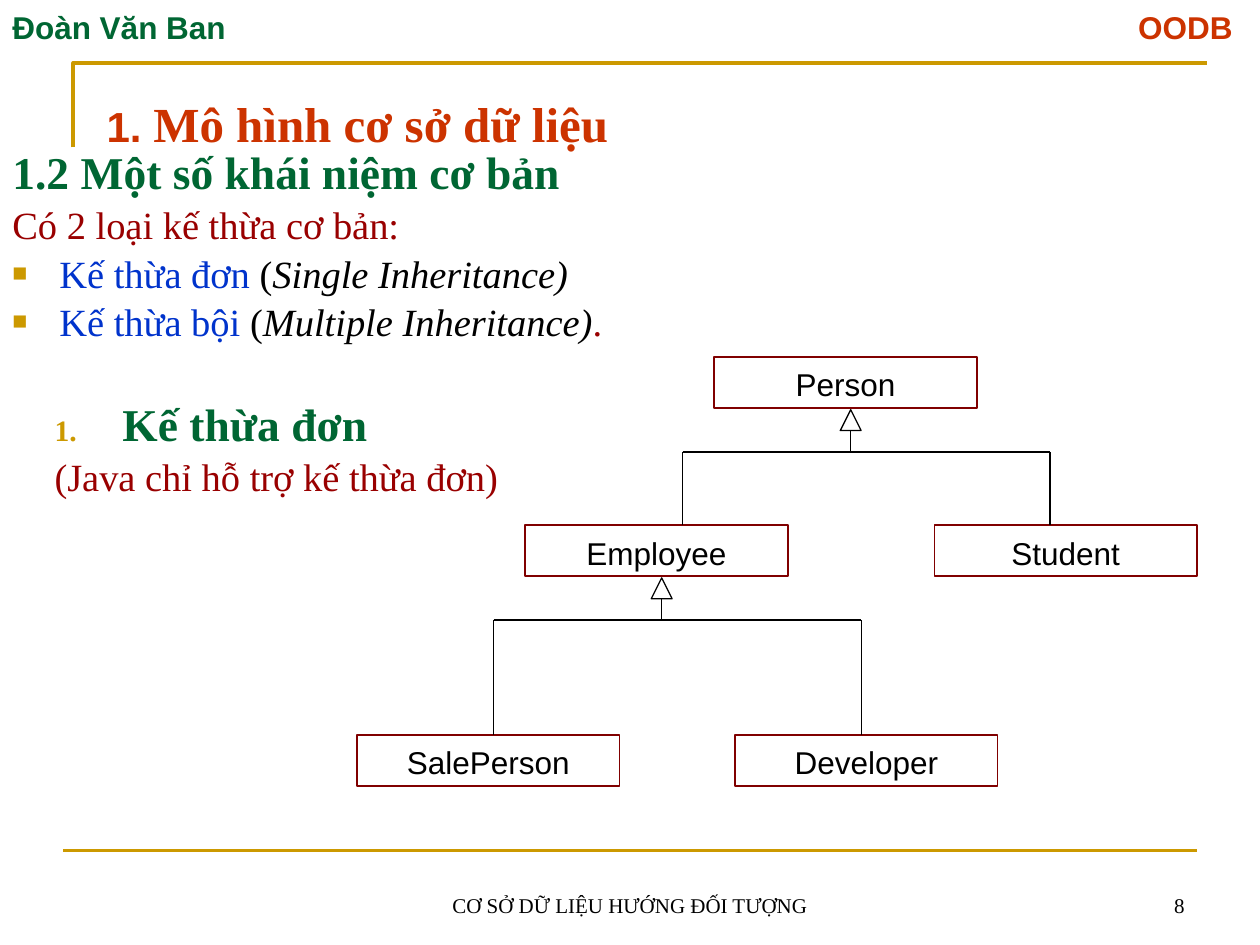
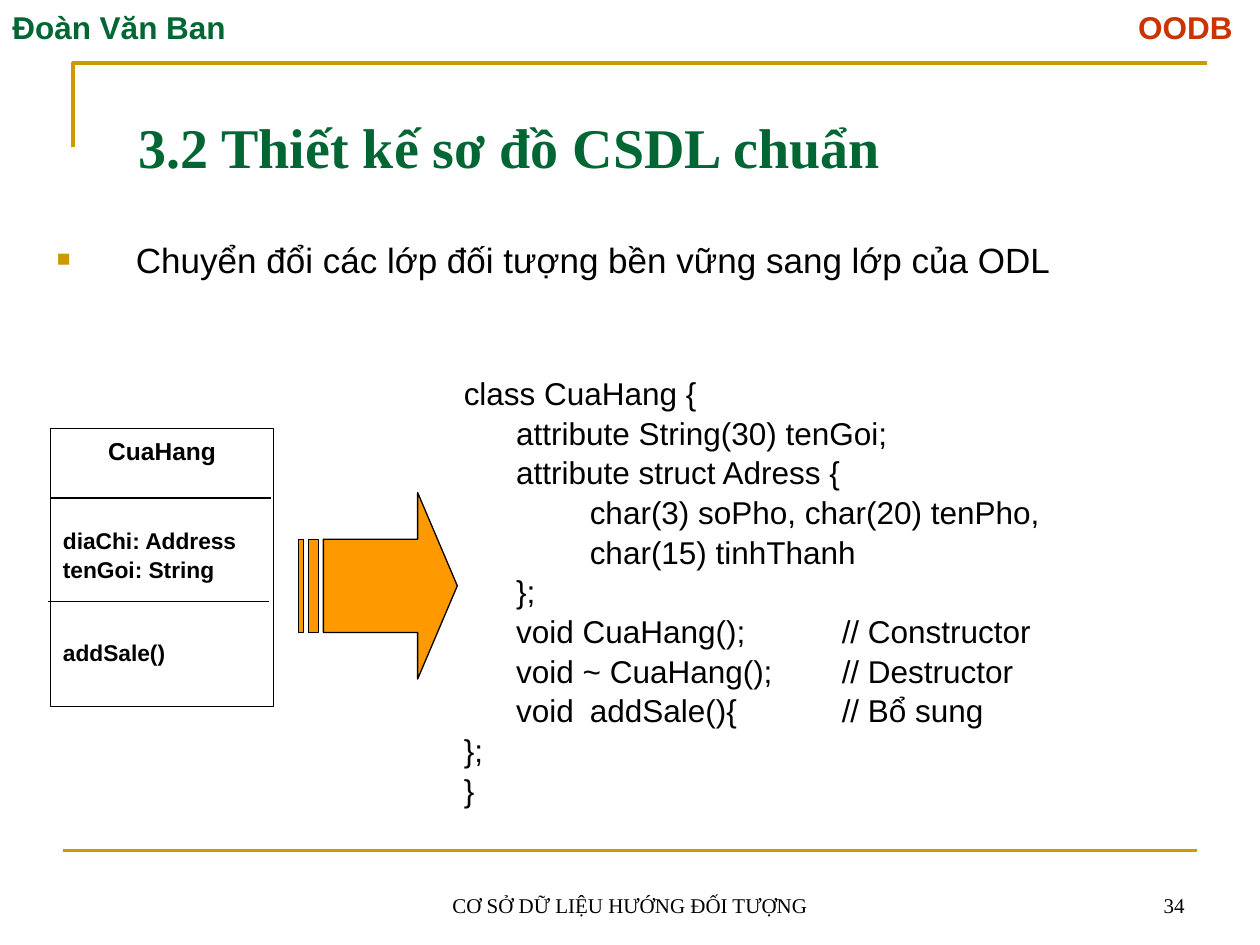
from dataclasses import dataclass

from lxml.etree import SubElement
from pptx import Presentation
from pptx.dml.color import RGBColor
from pptx.enum.shapes import MSO_CONNECTOR as CONN, MSO_SHAPE as SHAPE
from pptx.enum.text import MSO_ANCHOR as ANCHOR, MSO_AUTO_SIZE as AUTO, PP_ALIGN as ALIGN
from pptx.oxml.ns import qn
from pptx.util import Cm, Pt


@dataclass(frozen=True)
class Theme:
    sans: str = "Arial"
    serif: str = "Times New Roman"
    gold: str = "CC9900"
    green: str = "006633"
    red: str = "CC3300"
    maroon: str = "990000"
    border: str = "800000"
    blue: str = "0033CC"
    orange: str = "FF9900"
    black: str = "000000"
    white: str = "FFFFFF"
    title: int = 32
    section: int = 28
    number: int = 24
    heading: int = 26
    body: int = 22
    bullet: int = 20
    label: int = 18
    class_name: int = 14
    member: int = 13
    footer: int = 12
    leading: float = 1.05
    tight: float = 0.84


T = Theme()


def rgb(color):
    return RGBColor.from_string(color)


def add_bullet(pPr, bullet):
    clr = SubElement(pPr, qn("a:buClr"))
    SubElement(clr, qn("a:srgbClr"), val=T.gold)
    SubElement(pPr, qn("a:buSzPct"), val="65000")
    if bullet == "1.":
        SubElement(pPr, qn("a:buAutoNum"), type="arabicPeriod")
    else:
        SubElement(pPr, qn("a:buFont"), typeface=T.sans)
        SubElement(pPr, qn("a:buChar"), char=bullet)


def add_text(tf, text, size=T.label, font=T.sans, color=T.black, bold=False, italic=False,
             align=ALIGN.LEFT, before=0, spacing=T.leading, indent=0, bullet=None, tabs=()):
    first = tf.paragraphs[0]
    p = tf.add_paragraph() if first.runs else first
    pPr = p._p.get_or_add_pPr()
    if bullet:
        pPr.set("marL", str(Cm(indent)))
        pPr.set("indent", str(-Cm(indent)))
        add_bullet(pPr, bullet)
    if tabs:
        stops = SubElement(pPr, qn("a:tabLst"))
        for pos, kind in tabs:
            SubElement(stops, qn("a:tab"), pos=str(Cm(pos)), algn=kind)
    p.alignment, p.line_spacing, p.space_before = align, spacing, Pt(before)
    base = dict(size=size, font=font, color=color, bold=bold, italic=italic)
    for words, changes in [(text, {})] if isinstance(text, str) else text:
        look = {**base, **changes}
        r = p.add_run()
        r.text = words
        r.font.size, r.font.name = Pt(look["size"]), look["font"]
        r.font.bold, r.font.italic = look["bold"], look["italic"]
        r.font.color.rgb = rgb(look["color"])


def set_frame(sp, anchor=ANCHOR.TOP):
    tf = sp.text_frame
    tf.word_wrap, tf.auto_size, tf.vertical_anchor = True, AUTO.NONE, anchor
    tf.margin_left = tf.margin_right = Cm(0.25)
    tf.margin_top = tf.margin_bottom = Cm(0.13)
    return tf


def add_box(s, box, anchor=ANCHOR.TOP):
    return set_frame(s.shapes.add_textbox(*map(Cm, box)), anchor)


def place_title(s, box, anchor=ANCHOR.TOP):
    sp = s.shapes.title
    sp.left, sp.top, sp.width, sp.height = map(Cm, box)
    return set_frame(sp, anchor)


def add_shape(s, kind, box, fill=None, line=T.black, width=0.75):
    sp = s.shapes.add_shape(kind, *map(Cm, box))
    sp.shadow.inherit = False
    if fill:
        sp.fill.solid()
        sp.fill.fore_color.rgb = rgb(fill)
    else:
        sp.fill.background()
    sp.line.color.rgb, sp.line.width = rgb(line), Pt(width)
    return sp


def add_line(s, x1, y1, x2, y2, color=T.black, width=0.75):
    c = s.shapes.add_connector(CONN.STRAIGHT, *map(Cm, (x1, y1, x2, y2)))
    c.line.color.rgb, c.line.width = rgb(color), Pt(width)
    SubElement(c._element.spPr, qn("a:effectLst"))


def add_corner(s, x, y, w, h):
    path = s.shapes.build_freeform(Cm(x), Cm(y + h))
    path.add_line_segments([(Cm(x), Cm(y)), (Cm(x + w), Cm(y))], close=False)
    sp = path.convert_to_shape()
    sp.shadow.inherit = False
    sp.fill.background()
    sp.line.color.rgb, sp.line.width = rgb(T.gold), Pt(2.25)


def new_slide(prs, number):
    s = prs.slides.add_slide(prs.slide_layouts[5])
    add_corner(s, 1.48, 1.27, 22.86, 1.7)
    add_line(s, 1.27, 17.15, 24.13, 17.15, T.gold, 1.5)
    add_text(add_box(s, (0, 0, 25.4, 1.02)),
             [("Đoàn Văn Ban\t", {}), ("OODB", {"color": T.red})],
             color=T.green, bold=True, tabs=[(24.6, "r")])
    for box, text, align in (((8.68, 17.36, 8.04, 1.27), "CƠ SỞ DỮ LIỆU HƯỚNG ĐỐI TƯỢNG", ALIGN.CENTER),
                             ((18.2, 17.36, 5.93, 1.27), str(number), ALIGN.RIGHT)):
        add_text(add_box(s, box, ANCHOR.BOTTOM), text, size=T.footer, font=T.serif, align=align)
    return s


def add_inheritance_kinds(s, box):
    tf = add_box(s, box)
    look = dict(font=T.serif, spacing=T.tight)
    add_text(tf, "1.2 Một số khái niệm cơ bản", size=T.heading, color=T.green, bold=True, **look)
    look.update(size=T.body, before=5.5)
    add_text(tf, "Có 2 loại kế thừa cơ bản:", color=T.maroon, **look)
    for name, english, end in (("Kế thừa đơn ", "Single Inheritance)", ""),
                               ("Kế thừa bội ", "Multiple Inheritance)", ".")):
        runs = [(name, {"color": T.blue}), ("(", {}), (english, {"italic": True})]
        if end:
            runs.append((end, {"color": T.maroon}))
        add_text(tf, runs, bullet="■", indent=0.95, **look)


def add_single_note(s, box):
    tf = add_box(s, box)
    look = dict(font=T.serif, spacing=T.tight)
    add_text(tf, "Kế thừa đơn", size=T.heading, color=T.green, bold=True,
             bullet="1.", indent=1.37, **look)
    add_text(tf, "(Java chỉ hỗ trợ kế thừa đơn)", size=T.body, color=T.maroon, before=5.5, **look)


def add_generalization(s, x, y, child_top):
    head, bar = 0.42, y + 0.85
    left, right = x - 3.39, x + 4.02
    add_shape(s, SHAPE.ISOSCELES_TRIANGLE, (x - head / 2, y, head, head), T.white)
    add_line(s, x, y + head, x, bar)
    add_line(s, left, bar, right, bar)
    for drop in (left, right):
        add_line(s, drop, bar, drop, child_top)


def add_class_tree(s, x, y):
    width, height = 5.29, 1.02
    rows = (0, 3.39, 7.62)
    classes = {"Person": (7.2, 0), "Employee": (3.39, 1), "Student": (11.64, 1),
               "SalePerson": (0, 2), "Developer": (7.62, 2)}
    for name, (dx, row) in classes.items():
        sp = add_shape(s, SHAPE.RECTANGLE, (x + dx, y + rows[row], width, height),
                       line=T.border, width=1)
        add_text(set_frame(sp), name, align=ALIGN.CENTER)
    for parent in ("Person", "Employee"):
        dx, row = classes[parent]
        add_generalization(s, x + dx + 2.75, y + rows[row] + 1.06, y + rows[row + 1])


def add_class_card(s, box):
    x, y, w, _ = box
    tf = set_frame(add_shape(s, SHAPE.RECTANGLE, box, T.white))
    add_text(tf, "CuaHang", size=T.class_name, bold=True, align=ALIGN.CENTER)
    for member, before in (("diaChi: Address", 34), ("tenGoi: String", 0), ("addSale()", 31)):
        add_text(tf, member, size=T.member, bold=True, before=before)
    for dx, dy in ((0, 1.4), (-0.05, 3.48)):
        add_line(s, x + dx, y + dy, x + dx + w - 0.05, y + dy)


def add_odl_code(s, box):
    tf = add_box(s, box)
    for line in ("class CuaHang {",
                 "      attribute String(30) tenGoi;",
                 "      attribute struct Adress {",
                 "\tchar(3) soPho, char(20) tenPho,",
                 "\tchar(15) tinhThanh",
                 "      };",
                 "      void CuaHang();\t// Constructor",
                 "      void ~ CuaHang();\t// Destructor",
                 "      void\taddSale(){\t// Bổ sung",
                 "};",
                 "}"):
        add_text(tf, line, tabs=[(2.54, "l"), (7.62, "l")])


def build_inheritance_slide(prs):
    s = new_slide(prs, 8)
    add_text(place_title(s, (1.9, 1.7, 23.5, 1.45)),
             [("1. ", {"size": T.number, "font": T.sans}), ("Mô hình cơ sở dữ liệu", {})],
             size=T.section, font=T.serif, color=T.red, bold=True)
    add_inheritance_kinds(s, (0, 2.96, 25.4, 4.02))
    add_class_tree(s, 7.2, 7.2)
    add_single_note(s, (0.85, 8.04, 10.16, 1.7))


def build_schema_slide(prs):
    s = new_slide(prs, 34)
    add_text(place_title(s, (2.54, 1.43, 22.86, 2.33), ANCHOR.BOTTOM),
             "3.2 Thiết kế sơ đồ CSDL chuẩn",
             size=T.title, font=T.serif, color=T.green, bold=True)
    add_text(add_box(s, (0.9, 4.63, 24.5, 1.5)),
             "Chuyển đổi các lớp đối tượng bền vững sang lớp của ODL",
             size=T.bullet, align=ALIGN.JUSTIFY, bullet="■", indent=1.59)
    arrow = add_shape(s, SHAPE.STRIPED_RIGHT_ARROW, (6.02, 9.93, 3.2, 3.76), T.orange)
    arrow.adjustments[0], arrow.adjustments[1] = 0.5, 0.25
    add_odl_code(s, (9.1, 7.37, 15.11, 8.64))
    add_class_card(s, (1.02, 8.64, 4.5, 5.61))


def main():
    prs = Presentation()
    prs.slide_width, prs.slide_height = Cm(25.4), Cm(19.05)
    build_inheritance_slide(prs)
    build_schema_slide(prs)
    prs.save("out.pptx")


if __name__ == "__main__":
    main()
